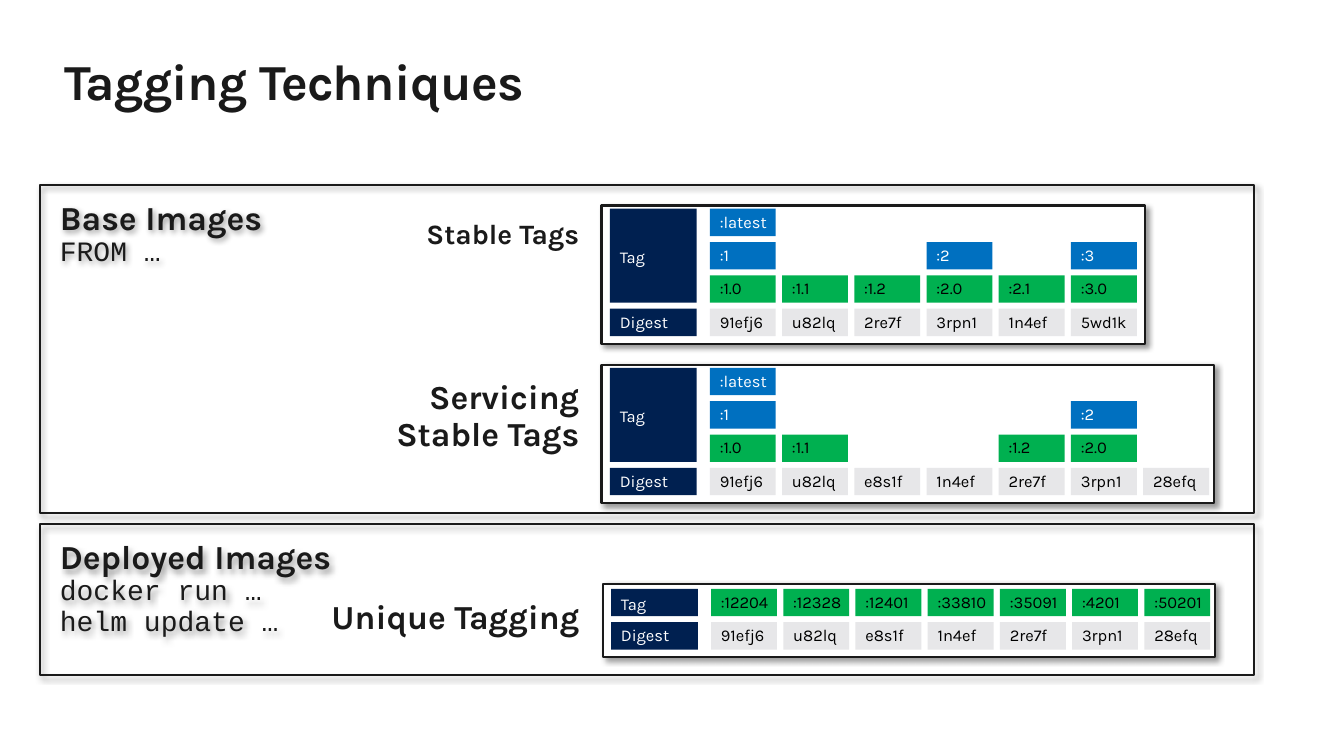
import pptx
import pptx.dml.color
import pptx.enum.shapes
import pptx.enum.text
import pptx.oxml
import pptx.oxml.ns
import pptx.util

Cm = pptx.util.Cm
Pt = pptx.util.Pt
LEFT = pptx.enum.text.PP_ALIGN.LEFT
RIGHT = pptx.enum.text.PP_ALIGN.RIGHT
TOP = pptx.enum.text.MSO_ANCHOR.TOP
MIDDLE = pptx.enum.text.MSO_ANCHOR.MIDDLE

TITLE = "Tagging Techniques"
FRAMES = [
    {"top": 4.66, "height": 8.28, "heading": "Base Images", "commands": "FROM …"},
    {"top": 13.21, "height": 3.8, "heading": "Deployed Images",
     "commands": "docker run …\nhelm update …"},
]
PANELS = [
    {"label": "Stable Tags", "label_size": "small_label", "label_height": 1.6,
     "left": 15.16, "top": 5.18, "width": 13.69, "height": 3.48, "margin": 0.08,
     "rows": [
         ("stable", [":latest"]),
         ("stable", [":1", "", "", ":2", "", ":3"]),
         ("version", [":1.0", ":1.1", ":1.2", ":2.0", ":2.1", ":3.0"]),
         ("digest", ["91efj6", "u82lq", "2re7f", "3rpn1", "1n4ef", "5wd1k"]),
     ]},
    {"label": "Servicing\nStable Tags", "label_size": "label", "label_height": 2.67,
     "left": 15.16, "top": 9.19, "width": 15.44, "height": 3.48, "margin": 0.08,
     "rows": [
         ("stable", [":latest"]),
         ("stable", [":1", "", "", "", "", ":2"]),
         ("version", [":1.0", ":1.1", "", "", ":1.2", ":2.0"]),
         ("digest", ["91efj6", "u82lq", "e8s1f", "1n4ef", "2re7f", "3rpn1", "28efq"]),
     ]},
    {"label": "Unique Tagging", "label_size": "label", "label_height": 1.75,
     "left": 15.19, "top": 14.71, "width": 15.44, "height": 1.85, "margin": 0.13,
     "rows": [
         ("version", [":12204", ":12328", ":12401", ":33810", ":35091", ":4201", ":50201"]),
         ("digest", ["91efj6", "u82lq", "e8s1f", "1n4ef", "2re7f", "3rpn1", "28efq"]),
     ]},
]

THEME = {
    "font": "Karla", "code_font": "Courier New",
    "ink": "1A1A1A", "paper": "FFFFFF",
    "cells": {"header": ("002050", "FFFFFF"), "stable": ("0070C0", "FFFFFF"),
              "version": ("00B050", "000000"), "digest": ("E7E7E9", "000000")},
    "sizes": {"title": 36, "label": 24, "small_label": 20, "code": 20, "cell": 11.8},
    "border": 1.5,
}
CELL_WIDTH, CELL_HEIGHT = 1.66, 0.69
COLUMN_STEP, ROW_STEP = 1.82, 0.84
HEADER_LEFT, HEADER_WIDTH, CELLS_LEFT = 0.21, 2.19, 2.73
LABEL_WIDTH, LABEL_RIGHT = 10, 15.11
CELL_INSETS = (0.25, 0.13, 0, 0)
BOX_INSETS = (0.51, 0.41, 0.51, 0.41)


def color(value):
    return pptx.dml.color.RGBColor.from_string(value)


def add_rectangle(shapes, left, top, width, height, fill=None, bordered=False):
    shape = shapes.add_shape(pptx.enum.shapes.MSO_SHAPE.RECTANGLE,
                             Cm(left), Cm(top), Cm(width), Cm(height))
    if fill:
        shape.fill.solid()
        shape.fill.fore_color.rgb = color(fill)
    else:
        shape.fill.background()
    if bordered:
        shape.line.color.rgb = color(THEME["ink"])
        shape.line.width = Pt(THEME["border"])
    else:
        shape.line.fill.background()
    shape.shadow.inherit = False
    if bordered:
        effects = shape._element.spPr.find(pptx.oxml.ns.qn("a:effectLst"))
        effects.append(pptx.oxml.parse_xml(
            f'<a:outerShdw {pptx.oxml.ns.nsdecls("a")} blurRad="{Pt(4)}" dist="{Pt(3)}" '
            'dir="2700000" algn="tl" rotWithShape="0"><a:srgbClr val="000000">'
            '<a:alpha val="40000"/></a:srgbClr></a:outerShdw>'))
    return shape


def write(shape, lines, insets, anchor=TOP, align=LEFT, spacing=0.9):
    frame = shape.text_frame
    frame.word_wrap = True
    frame.vertical_anchor = anchor
    frame.margin_left, frame.margin_top, frame.margin_right, frame.margin_bottom = map(Cm, insets)
    for index, (text, size, font, ink, bold) in enumerate(lines):
        paragraph = frame.add_paragraph() if index else frame.paragraphs[0]
        paragraph.text = text
        paragraph.alignment = align
        paragraph.line_spacing = spacing
        paragraph.font.size = Pt(THEME["sizes"][size])
        paragraph.font.name = THEME[font]
        paragraph.font.bold = bold
        paragraph.font.color.rgb = color(ink)


def add_cell(shapes, left, top, width, height, kind, text, anchor=TOP):
    fill, ink = THEME["cells"][kind]
    cell = add_rectangle(shapes, left, top, width, height, fill)
    write(cell, [(text, "cell", "font", ink, False)], CELL_INSETS, anchor)


def add_panel(shapes, panel):
    left, top, rows = panel["left"], panel["top"], panel["rows"]
    first_row = top + panel["margin"]
    digest_top = first_row + (len(rows) - 1) * ROW_STEP
    tag_height = (len(rows) - 2) * ROW_STEP + CELL_HEIGHT
    group = shapes.add_group_shape().shapes
    add_rectangle(group, left, top, panel["width"], panel["height"], THEME["paper"], True)
    add_cell(group, left + HEADER_LEFT, first_row, HEADER_WIDTH, tag_height,
             "header", "Tag", MIDDLE)
    add_cell(group, left + HEADER_LEFT, digest_top, HEADER_WIDTH, CELL_HEIGHT,
             "header", "Digest")
    for row, (kind, texts) in enumerate(rows):
        for column, text in enumerate(texts):
            if text:
                add_cell(shapes, left + CELLS_LEFT + column * COLUMN_STEP,
                         first_row + row * ROW_STEP, CELL_WIDTH, CELL_HEIGHT, kind, text)
    label = shapes.add_textbox(Cm(LABEL_RIGHT - LABEL_WIDTH), Cm(top),
                               Cm(LABEL_WIDTH), Cm(panel["label_height"]))
    write(label, [(panel["label"], panel["label_size"], "font", THEME["ink"], True)],
          BOX_INSETS, align=RIGHT)


def main():
    presentation = pptx.Presentation()
    presentation.slide_width, presentation.slide_height = Cm(33.87), Cm(19.05)
    shapes = presentation.slides.add_slide(presentation.slide_layouts[6]).shapes
    title = shapes.add_textbox(Cm(1.63), Cm(1.27), Cm(30.6), Cm(1.55))
    write(title, [(TITLE, "title", "font", THEME["ink"], True)], (0, 0, 0, 0), spacing=1.0)
    title.text_frame.paragraphs[0].runs[0]._r.get_or_add_rPr().set("spc", "-50")
    for panel in PANELS:
        add_panel(shapes, panel)
    for frame in FRAMES:
        box = add_rectangle(shapes, 1, frame["top"], 30.6, frame["height"], bordered=True)
        write(box, [(frame["heading"], "label", "font", THEME["ink"], True),
                    (frame["commands"], "code", "code_font", THEME["ink"], False)], BOX_INSETS)
    presentation.save("out.pptx")


if __name__ == "__main__":
    main()
